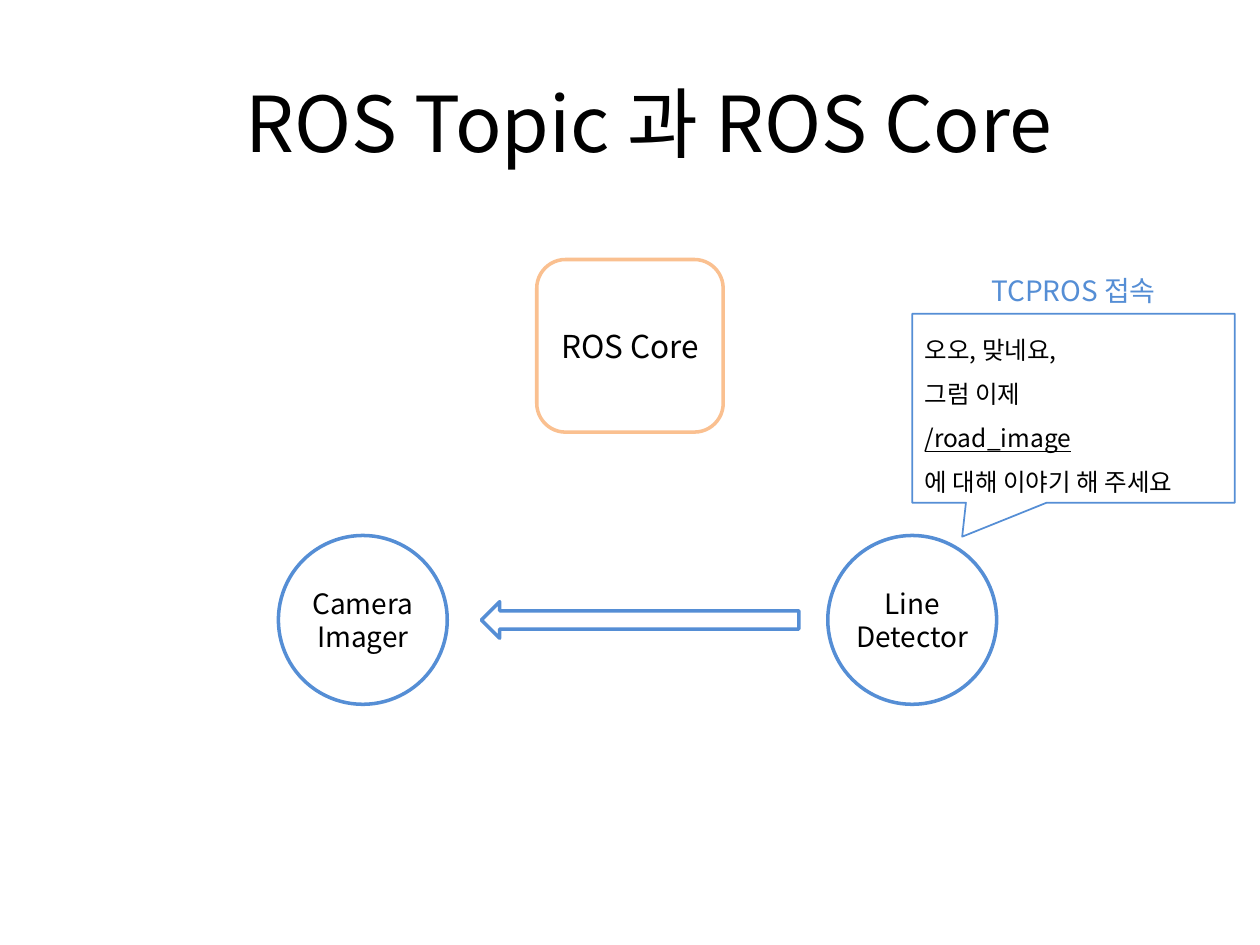
from dataclasses import dataclass

from lxml import etree
from pptx import Presentation
from pptx.dml.color import RGBColor
from pptx.enum.shapes import MSO_SHAPE
from pptx.enum.text import MSO_ANCHOR, PP_ALIGN
from pptx.oxml.ns import qn
from pptx.util import Inches, Pt

OVAL = MSO_SHAPE.OVAL
ROUND = MSO_SHAPE.ROUNDED_RECTANGLE
CALLOUT = MSO_SHAPE.RECTANGULAR_CALLOUT
ARROW = MSO_SHAPE.RIGHT_ARROW
LEFT, CENTER = PP_ALIGN.LEFT, PP_ALIGN.CENTER
MIDDLE, TOP = MSO_ANCHOR.MIDDLE, MSO_ANCHOR.TOP


@dataclass(frozen=True)
class Theme:
    face: str = "Noto Sans CJK KR"
    ink: RGBColor = RGBColor(0, 0, 0)
    blue: RGBColor = RGBColor(0x55, 0x8E, 0xD5)
    peach: RGBColor = RGBColor(0xFA, 0xC0, 0x90)
    title: int = 44
    core: int = 18
    node: int = 16
    speech: int = 14
    thick: int = 2
    thin: int = 1


THEME = Theme()


def apply(target, values):
    for name, value in values.items():
        setattr(target, name, value)


def inset(x, y):
    """Give equal side margins and equal top and bottom margins."""
    return {"margin_left": Inches(x), "margin_right": Inches(x),
            "margin_top": Inches(y), "margin_bottom": Inches(y)}


def style(run, size, color, under=False):
    """Set the face for both Latin and Korean letters."""
    apply(run.font, {"name": THEME.face, "size": Pt(size), "underline": under})
    run.font.color.rgb = color
    east = etree.SubElement(run.font._element, qn("a:ea"))
    east.set("typeface", THEME.face)


def write(shape, lines, size, color=THEME.ink, align=CENTER, anchor=MIDDLE,
          pad=(0.1, 0.05), space=None, under=()):
    frame = shape.text_frame
    apply(frame, {"word_wrap": True, "vertical_anchor": anchor, **inset(*pad)})
    for i, line in enumerate(lines):
        para = frame.paragraphs[0] if i == 0 else frame.add_paragraph()
        para.text = line
        apply(para, {"alignment": align, "line_spacing": space})
        for run in para.runs:
            style(run, size, color, line in under)


def outline(slide, kind, box, color, width):
    """Add an unfilled shape with a coloured line."""
    shape = slide.shapes.add_shape(kind, *map(Inches, box))
    shape.shadow.inherit = False
    shape.fill.background()
    shape.line.color.rgb = color
    shape.line.width = Pt(width)
    return shape


def label(slide, box, text, size, **form):
    write(slide.shapes.add_textbox(*map(Inches, box)), [text], size, **form)


def node(slide, box, text):
    shape = outline(slide, OVAL, box, THEME.blue, THEME.thick)
    write(shape, [text], THEME.node, pad=(0, 0))


def graph(slide, box):
    """Place the core above two nodes joined by an arrow."""
    x, y, w, h = box
    side = 1.34
    core = outline(slide, ROUND, (x + 2.05, y, 1.48, 1.37),
                   THEME.peach, THEME.thick)
    write(core, ["ROS Core"], THEME.core)
    low = y + h - side
    node(slide, (x, low, side, side), "Camera\nImager")
    node(slide, (x + w - side, low, side, side), "Line Detector")
    deep = 0.29
    arrow = outline(slide, ARROW,
                    (x + 1.61, low + (side - deep) / 2, 2.52, deep),
                    THEME.blue, THEME.thick)
    arrow.rotation = 180


def speech(slide, box):
    """Place a heading and, below it, the callout."""
    x, y, w, h = box
    head = 0.37
    label(slide, (x, y, w, head), "TCPROS 접속", THEME.node,
          color=THEME.blue, anchor=TOP, pad=(0, 0.05))
    shape = outline(slide, CALLOUT, (x, y + head, w, h - head),
                    THEME.blue, THEME.thin)
    for i, value in enumerate((-0.345, 0.68)):
        shape.adjustments[i] = value
    topic = "/road_image"
    write(shape, ["오오, 맞네요,", "그럼 이제", topic, "에 대해 이야기 해 주세요"],
          THEME.speech, align=LEFT, space=1.5, under=(topic,))


def main():
    deck = Presentation()
    apply(deck, {"slide_width": Inches(10), "slide_height": Inches(7.5)})
    slide = deck.slides.add_slide(deck.slide_layouts[6])
    label(slide, (1.85, 0.52, 7.65, 0.9), "ROS Topic 과 ROS Core",
          THEME.title, align=LEFT)
    graph(slide, (2.21, 2.06, 5.7, 3.53))
    speech(slide, (7.24, 2.12, 2.56, 1.87))
    deck.save("out.pptx")


if __name__ == "__main__":
    main()
